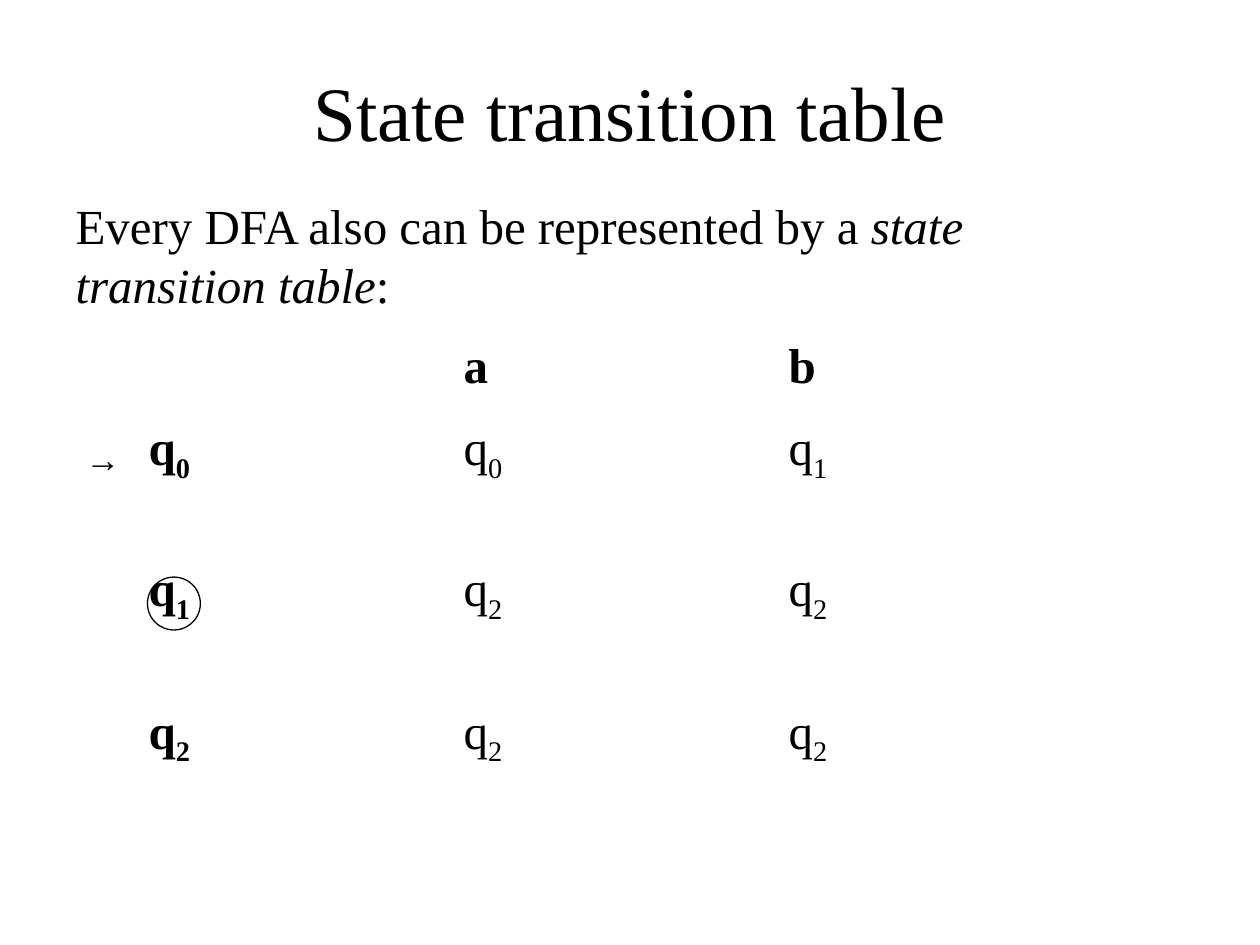
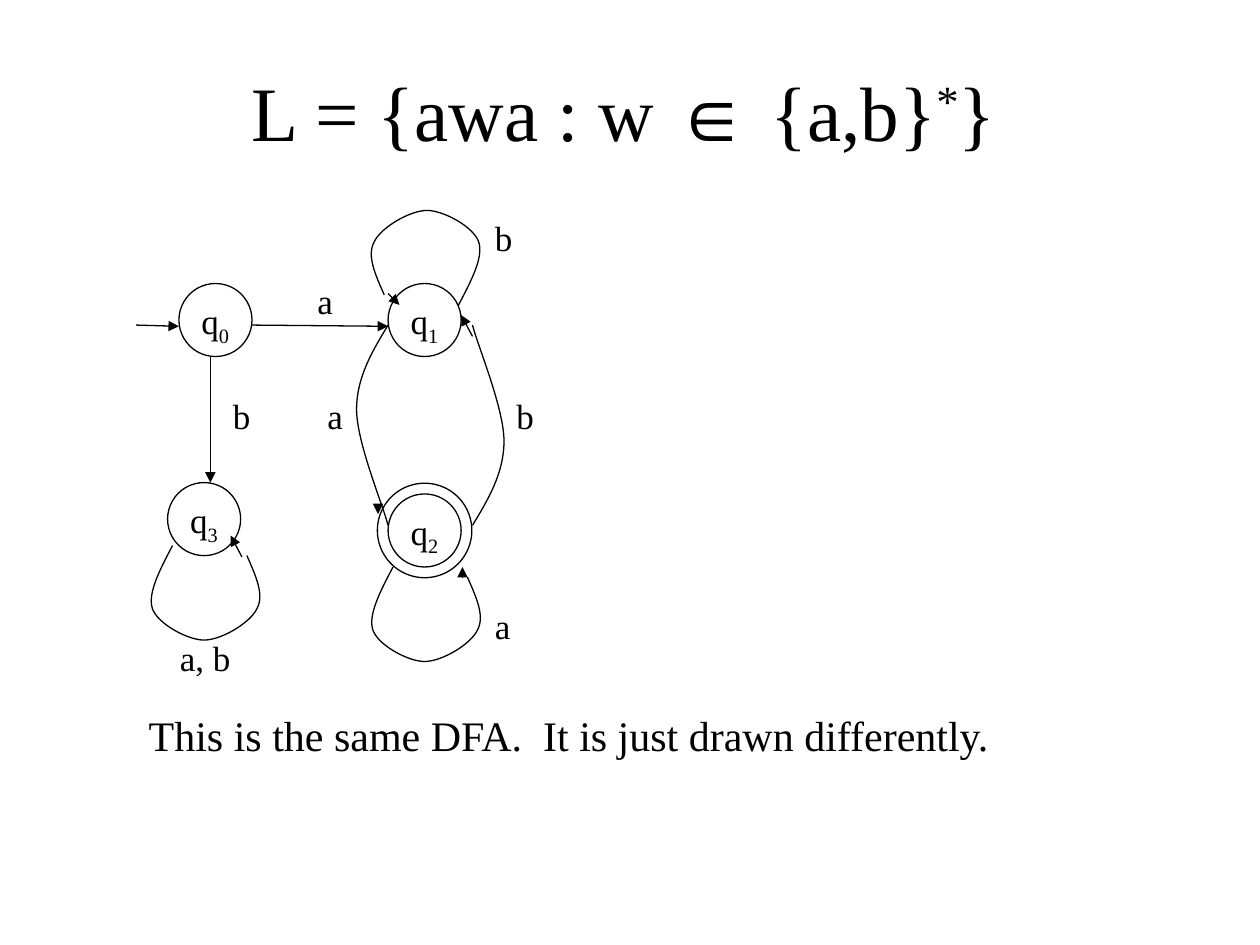
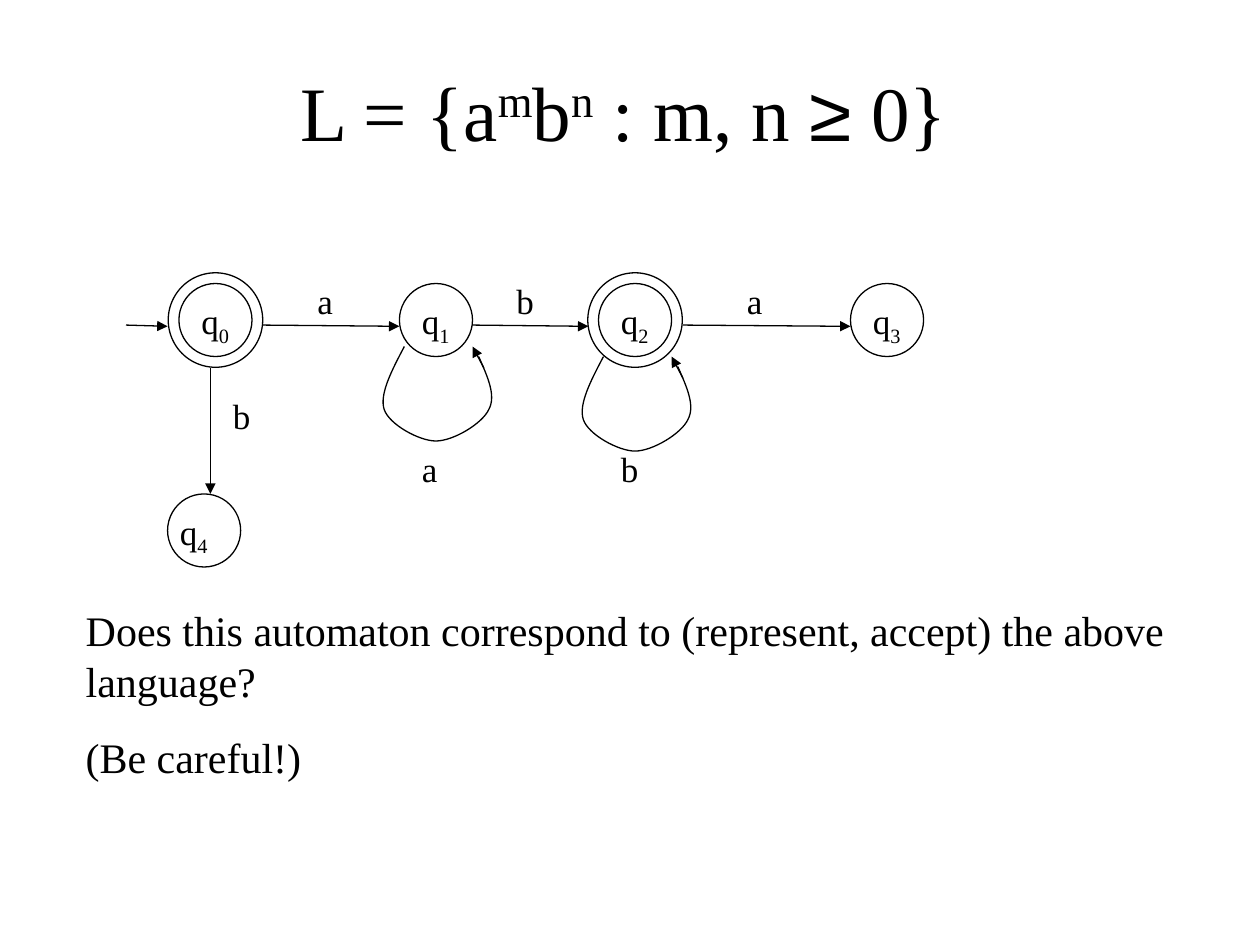
from dataclasses import dataclass

from lxml import etree
from pptx import Presentation
from pptx import util as u
from pptx.dml.color import RGBColor
from pptx.enum import shapes, text
from pptx.oxml import ns

COLORS = {"ink": "000000"}
SERIF, SYMBOL = "Times New Roman", "Arial"
TITLE_SIZE, INTRO_SIZE, REMARK_SIZE, LABEL_SIZE = 44, 28, 24, 20
LINE_WIDTH = u.Pt(0.75)
SUBSCRIPT, SUPERSCRIPT = -25000, 30000
STATE_SIZE, RING_SIZE = 0.58, 0.75
RING_GAP = (RING_SIZE - STATE_SIZE) / 2

# Bezier points relative to the start of each curve
LOOP = [(-0.10, 0.19), (-0.20, 0.38), (-0.16, 0.50),
        (-0.12, 0.62), (0.12, 0.75), (0.25, 0.75),
        (0.39, 0.75), (0.62, 0.61), (0.67, 0.50),
        (0.73, 0.39), (0.66, 0.24), (0.59, 0.08)]
ARC = [(-0.12, 0.20), (-0.25, 0.41), (-0.25, 0.67),
       (-0.25, 0.93), (-0.04, 1.43), (0, 1.59)]


@dataclass
class Run:
    text: str
    font: str = SERIF
    bold: bool = False
    italic: bool = False
    baseline: int = 0


@dataclass
class State:
    number: int
    left: float
    top: float
    accepting: bool = False
    label_shift: float = 0.08


@dataclass
class Label:
    text: str
    left: float
    top: float
    width: float = 0.5


@dataclass
class Arrow:
    x1: float
    y1: float
    x2: float
    y2: float


@dataclass
class Curve:
    x: float
    y: float
    points: list
    direction: int = 1  # -1 turns the curve by half a circle


def state_name(number: int, bold: bool = False) -> list[Run]:
    return [Run("q", bold=bold), Run(str(number), bold=bold, baseline=SUBSCRIPT)]


def add_runs(paragraph, runs: list[Run], size: int) -> None:
    for item in runs:
        run = paragraph.add_run()
        run.text = item.text
        font = run.font
        font.name, font.size = item.font, u.Pt(size)
        font.bold, font.italic = item.bold, item.italic
        font.color.rgb = RGBColor.from_string(COLORS["ink"])
        if item.baseline:
            run._r.get_or_add_rPr().set("baseline", str(item.baseline))


def place(shape, left: float, top: float, width: float, height: float) -> None:
    shape.left, shape.top = u.Inches(left), u.Inches(top)
    shape.width, shape.height = u.Inches(width), u.Inches(height)


def add_slide(presentation, title: list[Run], title_box: tuple, body: list[list[Run]],
              body_box: tuple, body_size: int):
    """Add a slide with a title and unbulleted body paragraphs."""
    slide = presentation.slides.add_slide(presentation.slide_layouts[1])
    heading, content = slide.shapes.title, slide.placeholders[1]
    place(heading, *title_box)
    add_runs(heading.text_frame.paragraphs[0], title, TITLE_SIZE)
    place(content, *body_box)
    frame = content.text_frame
    frame.auto_size = text.MSO_AUTO_SIZE.SHAPE_TO_FIT_TEXT
    for index, runs in enumerate(body):
        paragraph = frame.add_paragraph() if index else frame.paragraphs[0]
        properties = paragraph._p.get_or_add_pPr()
        properties.set("marL", "0")
        properties.set("indent", "0")
        etree.SubElement(properties, ns.qn("a:buNone"))
        paragraph.space_before = u.Pt(15 if index else 0)
        add_runs(paragraph, runs, body_size)
    return slide


def add_label(slide, runs: list[Run], left: float, top: float, width: float = 0.5) -> None:
    box = slide.shapes.add_textbox(u.Inches(left), u.Inches(top), u.Inches(width), u.Inches(0.44))
    box.text_frame.word_wrap = True
    add_runs(box.text_frame.paragraphs[0], runs, LABEL_SIZE)


def style_outline(shape) -> None:
    shape.shadow.inherit = False
    shape.fill.background()
    shape.line.color.rgb = RGBColor.from_string(COLORS["ink"])
    shape.line.width = LINE_WIDTH


def add_circle(slide, left: float, top: float, size: float) -> None:
    style_outline(slide.shapes.add_shape(
        shapes.MSO_SHAPE.OVAL, u.Inches(left), u.Inches(top), u.Inches(size), u.Inches(size)))


def add_state(slide, state: State) -> None:
    add_circle(slide, state.left, state.top, STATE_SIZE)
    if state.accepting:
        add_circle(slide, state.left - RING_GAP, state.top - RING_GAP, RING_SIZE)
    add_label(slide, state_name(state.number), state.left + state.label_shift,
              state.top + 0.08, STATE_SIZE)


def add_arrow(slide, arrow: Arrow) -> None:
    ends = [u.Inches(value) for value in (arrow.x1, arrow.y1, arrow.x2, arrow.y2)]
    connector = slide.shapes.add_connector(shapes.MSO_CONNECTOR.STRAIGHT, *ends)
    connector.line.color.rgb = RGBColor.from_string(COLORS["ink"])
    connector.line.width = LINE_WIDTH
    etree.SubElement(connector.line._get_or_add_ln(), ns.qn("a:tailEnd"), type="triangle")
    etree.SubElement(connector._element.spPr, ns.qn("a:effectLst"))


def add_curve(slide, curve: Curve) -> None:
    """Draw the points as a polyline, then join each three segments into one Bezier."""
    builder = slide.shapes.build_freeform(u.Inches(curve.x), u.Inches(curve.y))
    builder.add_line_segments(
        [(u.Inches(curve.x + curve.direction * dx), u.Inches(curve.y + curve.direction * dy))
         for dx, dy in curve.points], close=False)
    shape = builder.convert_to_shape()
    style_outline(shape)
    outline = next(shape._element.iter(ns.qn("a:path")))
    segments = outline.findall(ns.qn("a:lnTo"))
    for start in range(0, len(segments), 3):
        bezier = etree.SubElement(outline, ns.qn("a:cubicBezTo"))
        for segment in segments[start:start + 3]:
            bezier.append(segment[0])
            outline.remove(segment)


def add_automaton(slide, states: list[State], arrows: list[Arrow], curves: list[Curve],
                  labels: list[Label]) -> None:
    for state in states:
        add_state(slide, state)
    for curve in curves:
        add_curve(slide, curve)
    for arrow in arrows:
        add_arrow(slide, arrow)
    for label in labels:
        add_label(slide, [Run(label.text)], label.left, label.top, label.width)


def add_transition_table(slide, symbols: str, transitions: list[tuple[int, ...]]) -> None:
    widths, heights = [2.5, 2.58, 2.75], [0.63, 1.12, 1.13, 1.12]
    rows = [[[]] + [[Run(symbol, bold=True)] for symbol in symbols]]
    for number, targets in enumerate(transitions):
        rows.append([state_name(number, bold=True)] + [state_name(target) for target in targets])
    table = slide.shapes.add_table(len(rows), len(widths), u.Inches(1.08), u.Inches(2.67),
                                   u.Inches(sum(widths)), u.Inches(sum(heights))).table
    table.first_row = table.horz_banding = False
    for column, width in zip(table.columns, widths):
        column.width = u.Inches(width)
    for row, height, contents in zip(table.rows, heights, rows):
        row.height = u.Inches(height)
        for cell, runs in zip(row.cells, contents):
            cell.fill.background()
            paragraph = cell.text_frame.paragraphs[0]
            paragraph.line_spacing = 0.93
            add_runs(paragraph, runs, INTRO_SIZE)


def add_table_slide(presentation) -> None:
    intro = [Run("Every DFA also can be represented by a "),
             Run("state transition table", italic=True), Run(":")]
    slide = add_slide(presentation, [Run("State transition table")], (0.75, 0.25, 8.5, 1.25),
                      [intro], (0.5, 1.5, 8.77, 1.04), INTRO_SIZE)
    add_transition_table(slide, "ab", [(0, 1), (2, 2), (2, 2)])
    add_circle(slide, 1.17, 4.58, 0.42)
    add_label(slide, [Run("→", font=SYMBOL)], 0.58, 3.42)


def add_awa_slide(presentation, title_box: tuple) -> None:
    title = [Run("L = {awa : w "), Run("∈", font=SYMBOL), Run(" {a,b}"),
             Run("*", baseline=SUPERSCRIPT), Run("}")]
    remark = [Run("This is the same DFA.  It is just drawn differently.")]
    slide = add_slide(presentation, title, title_box, [remark], (1.08, 5.58, 7.5, 0.5),
                      REMARK_SIZE)
    add_automaton(
        slide,
        states=[State(0, 1.42, 2.25), State(1, 3.08, 2.25),
                State(2, 3.08, 3.92, accepting=True), State(3, 1.33, 3.83)],
        arrows=[Arrow(1.08, 2.58, 1.42, 2.59), Arrow(2, 2.58, 3.08, 2.59),
                Arrow(1.67, 2.83, 1.67, 3.83), Arrow(3, 4, 3, 4.08),
                Arrow(3.75, 2.67, 3.66, 2.5), Arrow(3.08, 2.33, 3.17, 2.42),
                Arrow(3.67, 4.59, 3.67, 4.5), Arrow(1.92, 4.42, 1.83, 4.25)],
        curves=[Curve(3.08, 2.58, ARC), Curve(3.75, 4.17, ARC, direction=-1),
                Curve(3.64, 2.42, LOOP, direction=-1), Curve(3.12, 4.5, LOOP),
                Curve(1.37, 4.33, LOOP)],
        labels=[Label("a", 2.42, 2.17), Label("b", 1.75, 3.08), Label("a", 2.5, 3.08),
                Label("b", 4, 3.08), Label("b", 3.83, 1.67), Label("a", 3.83, 4.75),
                Label("a, b", 1.33, 5, width=0.75)])


def add_ambn_slide(presentation, title_box: tuple) -> None:
    title = [Run("L = {a"), Run("m", baseline=SUPERSCRIPT), Run("b"),
             Run("n", baseline=SUPERSCRIPT), Run(" : m, n "), Run("≥", font=SYMBOL), Run(" 0}")]
    question = [
        [Run("Does this automaton correspond to (represent, accept) the above language?")],
        [Run("(Be careful!)")]]
    slide = add_slide(presentation, title, title_box, question, (0.58, 4.75, 9, 1.51),
                      REMARK_SIZE)
    add_automaton(
        slide,
        states=[State(0, 1.42, 2.25, accepting=True), State(1, 3.17, 2.25),
                State(2, 4.75, 2.25, accepting=True), State(3, 6.75, 2.25),
                State(4, 1.33, 3.92, label_shift=0)],
        arrows=[Arrow(1, 2.58, 1.33, 2.59), Arrow(2.08, 2.58, 3.17, 2.59),
                Arrow(3.75, 2.58, 4.67, 2.59), Arrow(5.42, 2.58, 6.75, 2.59),
                Arrow(1.67, 2.92, 1.67, 3.92), Arrow(3.84, 2.92, 3.75, 2.75),
                Arrow(5.42, 3, 5.33, 2.83)],
        curves=[Curve(3.21, 2.75, LOOP), Curve(4.79, 2.83, LOOP)],
        labels=[Label("a", 2.42, 2.17), Label("b", 4, 2.17), Label("a", 5.83, 2.17),
                Label("b", 1.75, 3.08), Label("a", 3.25, 3.5), Label("b", 4.83, 3.5)])


def main() -> None:
    presentation = Presentation()
    presentation.slide_width, presentation.slide_height = u.Inches(10), u.Inches(7.5)
    language_title_box = (0.33, 0.25, 9.24, 1.25)
    add_table_slide(presentation)
    add_awa_slide(presentation, language_title_box)
    add_ambn_slide(presentation, language_title_box)
    presentation.save("out.pptx")


if __name__ == "__main__":
    main()
